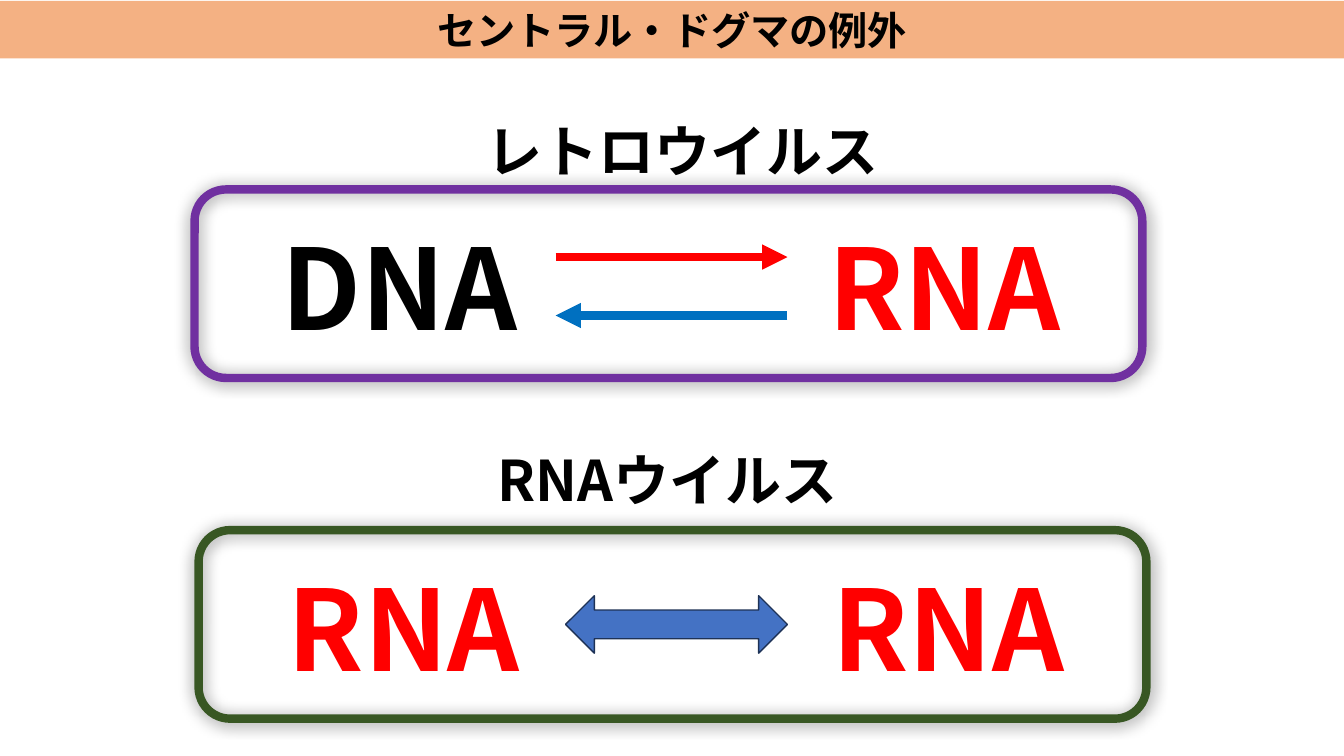
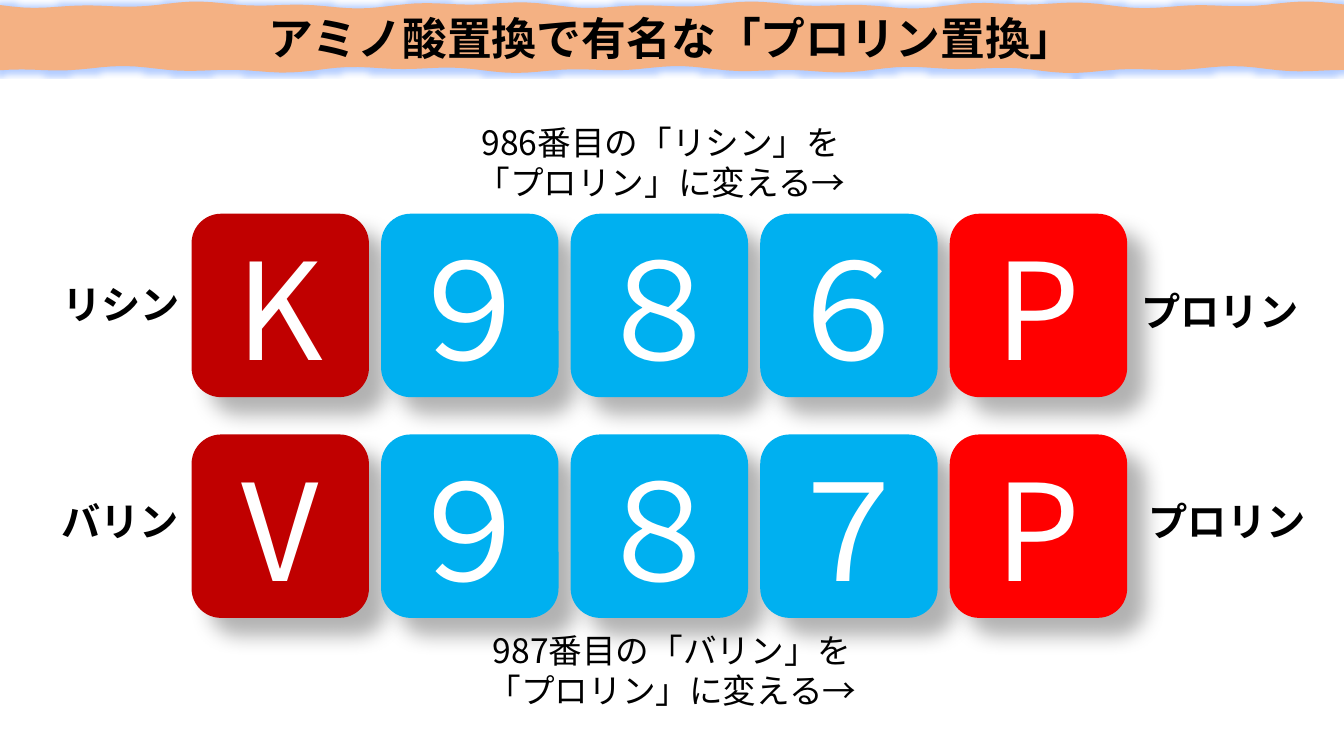
from math import sin

from lxml import etree
from pptx import Presentation
from pptx.dml.color import RGBColor
from pptx.enum.shapes import MSO_CONNECTOR, MSO_SHAPE
from pptx.enum.text import MSO_ANCHOR, MSO_AUTO_SIZE, PP_ALIGN
from pptx.oxml.ns import qn
from pptx.util import Inches, Pt

ROUND_RECT = MSO_SHAPE.ROUNDED_RECTANGLE
DOUBLE_ARROW = MSO_SHAPE.LEFT_RIGHT_ARROW
STRAIGHT = MSO_CONNECTOR.STRAIGHT
CENTER = PP_ALIGN.CENTER
MIDDLE = MSO_ANCHOR.MIDDLE
NO_AUTOFIT = MSO_AUTO_SIZE.NONE

COLORS = {
    "band": "F4B183", "glow": "4080FF", "black": "000000", "white": "FFFFFF",
    "red": "FF0000", "dark_red": "C00000", "sky": "00B0F0", "blue": "0070C0",
    "purple": "7030A0", "green": "385723", "arrow": "4472C4", "arrow_edge": "1E3256",
}
TITLE_FONT = "Arial"
FONT = "Noto Sans CJK JP"
SLIDE_W, SLIDE_H = 13.33, 7.5
LINE_HEIGHT = 1.22
TILE_W, TILE_H, TILE_GAP, TILE_LEFT = 1.76, 1.82, 0.12, 1.9


def rgb(name):
    return RGBColor.from_string(COLORS[name])


def box(left, top, width, height):
    return Inches(left), Inches(top), Inches(width), Inches(height)


def add_effect(shape, tag, color, alpha, **attrs):
    """Give the shape one effect (glow or outerShdw); alpha is in percent."""
    sp_pr = shape.element.spPr
    for old in sp_pr.findall(qn("a:effectLst")):
        sp_pr.remove(old)
    effects = etree.SubElement(sp_pr, qn("a:effectLst"))
    effect = etree.SubElement(effects, qn(tag), {k: str(v) for k, v in attrs.items()})
    clr = etree.SubElement(effect, qn("a:srgbClr"), val=COLORS[color])
    etree.SubElement(clr, qn("a:alpha"), val=str(alpha * 1000))


def write(shape, text, size, color="black", bold=False, font=FONT, spacing=True):
    """Set centred text, one paragraph a line, with fixed line height if spacing."""
    tf = shape.text_frame
    tf.text = text
    tf.word_wrap = True
    tf.auto_size = NO_AUTOFIT
    tf.vertical_anchor = MIDDLE
    tf.margin_left = tf.margin_right = tf.margin_top = tf.margin_bottom = 0
    for p in tf.paragraphs:
        p.alignment = CENTER
        if spacing:
            p.line_spacing = Pt(round(size * LINE_HEIGHT))
        for r in p.runs:
            r.font.size = Pt(size)
            r.font.bold = bold
            r.font.name = font
            r.font.color.rgb = rgb(color)
            etree.SubElement(r.font._element, qn("a:ea"), typeface=FONT)


def add_label(s, text, left, top, width, height, size, color="black", bold=True):
    write(s.shapes.add_textbox(*box(left, top, width, height)), text, size, color, bold)


def add_title(s, text, top, height, size):
    title = s.shapes.title
    title.left, title.top, title.width, title.height = box(0, top, SLIDE_W, height)
    write(title, text, size, bold=True, font=TITLE_FONT, spacing=False)
    return title


def add_shape(s, kind, left, top, width, height, fill=None, line=None, line_width=1):
    shape = s.shapes.add_shape(kind, *box(left, top, width, height))
    shape.shadow.inherit = False
    if fill:
        shape.fill.solid()
        shape.fill.fore_color.rgb = rgb(fill)
    else:
        shape.fill.background()
    if line:
        shape.line.color.rgb = rgb(line)
        shape.line.width = Pt(line_width)
    else:
        shape.line.fill.background()
    return shape


def add_frame(s, left, top, color):
    frame = add_shape(s, ROUND_RECT, left, top, 9.4, 1.87, line=color, line_width=6)
    add_effect(frame, "a:outerShdw", "black", 45, blurRad=Pt(12), dist=0,
               algn="ctr", rotWithShape=0)


def add_arrow(s, start, end, y, color):
    arrow = s.shapes.add_connector(STRAIGHT, Inches(start), Inches(y), Inches(end), Inches(y))
    arrow.line.color.rgb = rgb(color)
    arrow.line.width = Pt(6)
    etree.SubElement(arrow.line._get_or_add_ln(), qn("a:tailEnd"), type="triangle")
    etree.SubElement(arrow.element.spPr, qn("a:effectLst"))


def add_torn_band(s, top, bottom):
    """Draw a full-width band with uneven long edges and a soft glow."""
    def wave(x, phase):
        return 0.02 * sin(2.3 * x + phase) + 0.015 * sin(5.7 * x + 2 * phase)

    xs = [SLIDE_W * i / 120 for i in range(121)]
    edge = [(x, top + wave(x, 0)) for x in xs]
    edge += [(x, bottom + wave(x, 2)) for x in reversed(xs)]
    points = [(Inches(x), Inches(y)) for x, y in edge]
    builder = s.shapes.build_freeform(*points[0])
    builder.add_line_segments(points[1:], close=True)
    band = builder.convert_to_shape()
    band.fill.solid()
    band.fill.fore_color.rgb = rgb("band")
    band.line.fill.background()
    add_effect(band, "a:glow", "glow", 40, rad=Pt(4))
    return band


def add_tile_row(s, top, letters):
    fills = ["dark_red", "sky", "sky", "sky", "red"]
    for i, (letter, fill) in enumerate(zip(letters, fills)):
        left = TILE_LEFT + i * (TILE_W + TILE_GAP)
        tile = add_shape(s, ROUND_RECT, left, top, TILE_W, TILE_H, fill)
        add_effect(tile, "a:outerShdw", "black", 30, blurRad=Pt(15), dist=Pt(18),
                   dir=45 * 60000, algn="tl", rotWithShape=0)
        write(tile, letter, 96, "white")


def build_dogma_slide(s):
    title = add_title(s, "セントラル・ドグマの例外", 0.01, 0.57, 28)
    title.fill.solid()
    title.fill.fore_color.rgb = rgb("band")

    systems = [
        ("レトロウイルス", 3.96, 1.1, "DNA", "black", 1.93, 1.88, "purple"),
        ("RNAウイルス", 3.81, 4.36, "RNA", "red", 1.97, 5.26, "green"),
    ]
    for name, name_left, name_top, source, color, left, top, frame in systems:
        add_label(s, name, name_left, name_top, 5.62, 0.77, 40)
        add_frame(s, left, top, frame)
        add_label(s, source, left + 0.25, top + 0.22, 3.57, 1.45, 80, color)
        add_label(s, "RNA", left + 5.65, top + 0.22, 3.57, 1.45, 80, "red")

    add_arrow(s, 5.51, 7.81, 2.55, "red")
    add_arrow(s, 7.81, 5.51, 3.13, "blue")
    add_shape(s, DOUBLE_ARROW, 5.61, 5.91, 2.2, 0.57, "arrow", "arrow_edge")


def build_proline_slide(s):
    title = add_title(s, "アミノ酸置換で有名な「プロリン置換」", 0.05, 0.64, 32)
    title.element.addprevious(add_torn_band(s, 0.05, 0.69).element)

    add_tile_row(s, 2.12, "K９８６P")
    add_tile_row(s, 4.31, "V９８７P")
    for text, left, top in [("リシン", 0.32, 2.73), ("バリン", 0.31, 4.88),
                            ("プロリン", 11.22, 2.8), ("プロリン", 11.29, 4.88)]:
        add_label(s, text, left, top, 1.76, 0.57, 28)
    for text, left, top in [("986番目の「リシン」を", 3.78, 1.15),
                            ("987番目の「バリン」を", 3.89, 6.19)]:
        add_label(s, text + "\n「プロリン」に変える→", left, top, 5.55, 0.91, 24, bold=False)


def main():
    prs = Presentation()
    prs.slide_width, prs.slide_height = Inches(SLIDE_W), Inches(SLIDE_H)
    title_only = prs.slide_layouts[5]
    for build in (build_dogma_slide, build_proline_slide):
        build(prs.slides.add_slide(title_only))
    prs.save("out.pptx")


if __name__ == "__main__":
    main()
